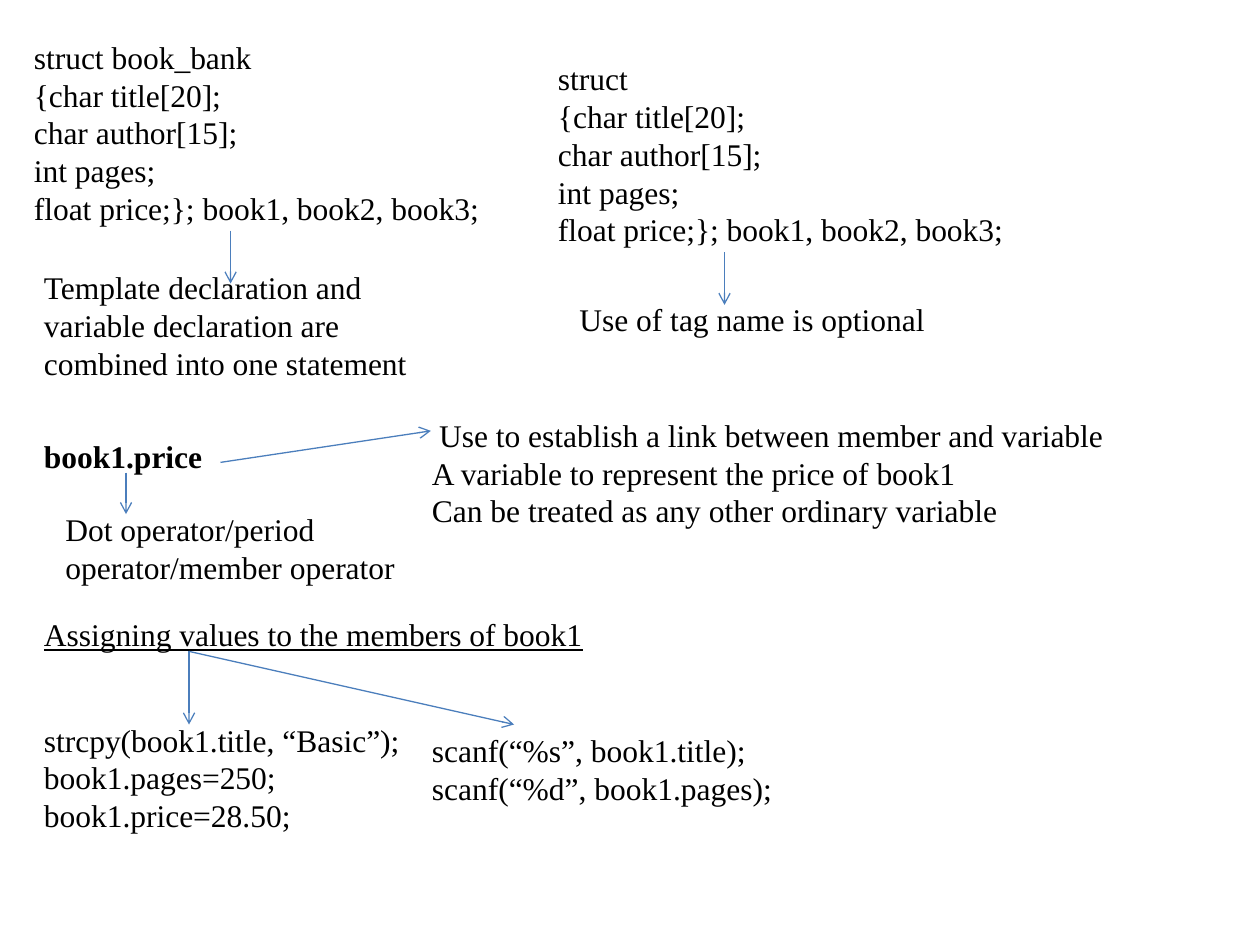
from lxml import etree
from pptx import Presentation
from pptx import util as u
from pptx.dml.color import RGBColor
from pptx.enum import shapes, text
from pptx.oxml.ns import qn

SERIF = "Times New Roman"


def paint(color, code):
    color.rgb = RGBColor.from_string(code)


def style(run, **extra):
    """Give a run the common font, with any values in extra on top."""
    for key, val in {"name": SERIF, "size": u.Pt(18), **extra}.items():
        setattr(run.font, key, val)
    paint(run.font.color, "000000")


deck = Presentation()
deck.slide_width, deck.slide_height = u.Inches(10), u.Inches(7.5)
slide = deck.slides.add_slide(deck.slide_layouts[6])

fields = ["{char title[20];", "char author[15];", "int pages;",
          "float price;}; book1, book2, book3;"]
link = "Use to establish a link between member and variable"

# left, top, width, height, lines, font values
notes = [
    (0.17, 0.25, 3.75, 1.62, ["struct book_bank"] + fields, {}),
    (4.33, 0.42, 3.75, 1.62, ["struct"] + fields, {}),
    (0.25, 2.08, 3.25, 1.01,
     ["Template declaration and variable declaration are "
      "combined into one statement"], {}),
    (4.5, 2.33, 3.08, 0.4, ["Use of tag name is optional"], {}),
    (0.25, 3.42, 1.58, 0.4, ["book1.price"], {"bold": True}),
    (0.42, 4, 2.92, 0.71,
     ["Dot operator/period operator/member operator"], {}),
    (3.33, 3.25, 6.5, 1.01,
     [link, "A variable to represent the price of book1",
      "Can be treated as any other ordinary variable"], {}),
    (0.25, 4.83, 4.5, 0.4,
     ["Assigning values to the members of book1"], {"underline": True}),
    (0.25, 5.67, 3.17, 1.01,
     ["strcpy(book1.title, “Basic”);", "book1.pages=250;",
      "book1.price=28.50;"], {}),
    (3.33, 5.75, 3.17, 0.71,
     ["scanf(“%s”, book1.title);", "scanf(“%d”, book1.pages);"], {}),
]
for *place, lines, extra in notes:
    frame = slide.shapes.add_textbox(*map(u.Inches, place)).text_frame
    frame.word_wrap = True
    frame.auto_size = text.MSO_AUTO_SIZE.SHAPE_TO_FIT_TEXT
    for i, line in enumerate(lines):
        para = frame.add_paragraph() if i else frame.paragraphs[0]
        if line == link:
            lead = para.add_run()
            lead.text = " "
            style(lead, name="Calibri")
        run = para.add_run()
        run.text = line
        style(run, **extra)

# from x, from y, to x, to y
arrows = [
    (1.83, 1.83, 1.83, 2.25),
    (5.75, 2, 5.75, 2.42),
    (1, 3.75, 1, 4.08),
    (1.75, 3.67, 3.42, 3.42),
    (1.5, 5.17, 1.5, 5.75),
    (1.5, 5.17, 4.08, 5.75),
]
for ends in arrows:
    arrow = slide.shapes.add_connector(
        shapes.MSO_CONNECTOR.STRAIGHT, *map(u.Inches, ends))
    arrow.line.width = u.Pt(0.75)
    paint(arrow.line.color, "4B7EBC")
    etree.SubElement(arrow.line._get_or_add_ln(), qn("a:tailEnd"), type="arrow")
    etree.SubElement(arrow._element.spPr, qn("a:effectLst"))

deck.save("out.pptx")
